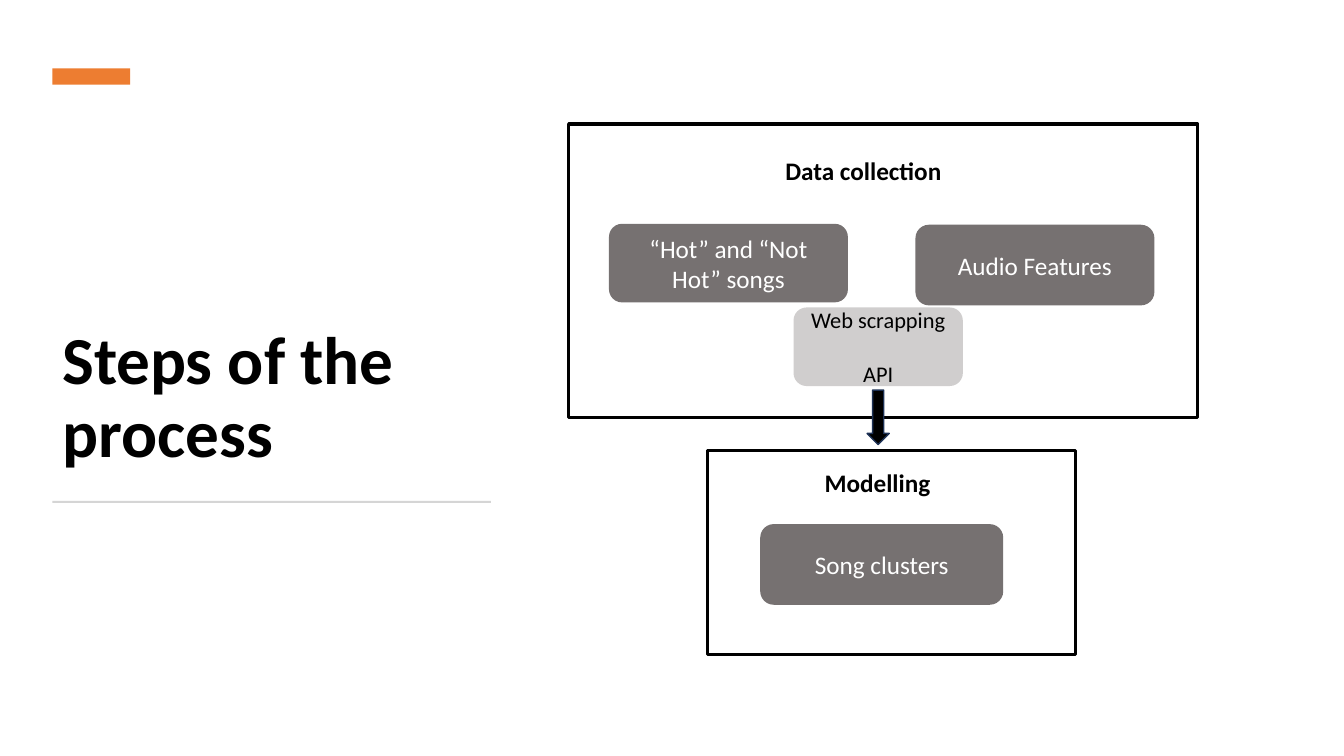
from dataclasses import dataclass

from pptx import Presentation
from pptx import util as u
from pptx.dml.color import RGBColor
from pptx.enum import shapes, text

PX = 9144  # EMU in one px, 100 px to the inch
KIND = shapes.MSO_SHAPE


@dataclass(frozen=True)
class Theme:
    font: str = "Calibri"
    ink: str = "000000"
    paper: str = "FFFFFF"
    accent: str = "ED7D31"
    rule: str = "D5D5D5"
    step: str = "767171"
    method: str = "D0CECE"
    arrow_edge: str = "1E3256"
    title: int = 48
    body: int = 18
    small: int = 16
    frame_line: float = 2.25
    arrow_line: float = 1


T = Theme()


def emu(box):
    return [u.Emu(n * PX) for n in box]


def inside(box, dx, dy, w, h):
    """Return a w by h box offset from the top left corner of box."""
    return box[0] + dx, box[1] + dy, w, h


def write(tf, lines, size, color, gap=0, align=None, spacing=None, bold=False, **frame):
    for name, value in frame.items():
        setattr(tf, name, value)
    for i, line in enumerate(lines):
        p = tf.paragraphs[0] if i == 0 else tf.add_paragraph()
        p.alignment = align
        p.line_spacing = spacing
        if i and gap:
            p.space_before = u.Pt(gap)
        r = p.add_run()
        r.text = line
        font = {"name": T.font, "size": u.Pt(size), "bold": bold}
        for name, value in font.items():
            setattr(r.font, name, value)
        r.font.color.rgb = RGBColor.from_string(color)


def add_shape(s, kind, box, fill=None, line=None, width=1):
    sp = s.shapes.add_shape(kind, *emu(box))
    sp.shadow.inherit = False
    for part, color in ((sp.fill, fill), (sp.line.fill, line)):
        if color:
            part.solid()
            part.fore_color.rgb = RGBColor.from_string(color)
        else:
            part.background()
    if line:
        sp.line.width = u.Pt(width)
    return sp


def add_pill(s, box, lines, fill=T.step, color=T.paper, size=T.body, gap=0):
    sp = add_shape(s, KIND.ROUNDED_RECTANGLE, box, fill)
    write(sp.text_frame, lines, size, color, gap, align=text.PP_ALIGN.CENTER,
          word_wrap=True, vertical_anchor=text.MSO_ANCHOR.MIDDLE)


def add_stage(s, box, heading, heading_box):
    """Draw an outlined stage with its bold heading."""
    add_shape(s, KIND.RECTANGLE, box, line=T.ink, width=T.frame_line)
    tb = s.shapes.add_textbox(*emu(inside(box, *heading_box)))
    write(tb.text_frame, [heading], T.body, T.ink, bold=True, word_wrap=False,
          auto_size=text.MSO_AUTO_SIZE.SHAPE_TO_FIT_TEXT)


def title_panel(s, box):
    add_shape(s, KIND.RECTANGLE, inside(box, 0, 0, 77, 16), T.accent)
    tb = s.shapes.add_textbox(*emu(inside(box, 0, 55, 440, 350)))
    write(tb.text_frame, ["Steps of the process"], T.title, T.ink, spacing=0.9,
          bold=True, word_wrap=True, vertical_anchor=text.MSO_ANCHOR.BOTTOM)
    add_shape(s, KIND.RECTANGLE, inside(box, 0, 429, box[2], 2), T.rule)


def data_collection(s, box):
    add_stage(s, box, "Data collection", (205, 26, 182, 40))
    add_pill(s, inside(box, 40, 99, 237, 78), ["“Hot” and “Not Hot” songs"])
    add_pill(s, inside(box, 344, 100, 237, 80), ["Audio Features"])
    add_pill(s, inside(box, 223, 182, 168, 78), ["Web scrapping", "API"],
             T.method, T.ink, T.small, gap=19.5)


def modelling(s, box):
    add_stage(s, box, "Modelling", (106, 12, 126, 40))
    add_pill(s, inside(box, 52, 73, 241, 80), ["Song clusters"])


def flow_arrow(s, box):
    add_shape(s, KIND.DOWN_ARROW, box, T.ink, T.arrow_edge, T.arrow_line)


def main():
    prs = Presentation()
    prs.slide_width, prs.slide_height = emu((1333, 750))
    s = prs.slides.add_slide(prs.slide_layouts[6])
    title_panel(s, (52, 68, 435, 431))
    data_collection(s, (564, 123, 624, 291))
    modelling(s, (702, 447, 365, 202))
    flow_arrow(s, (860, 387, 22, 54))
    prs.save("out.pptx")


if __name__ == "__main__":
    main()
